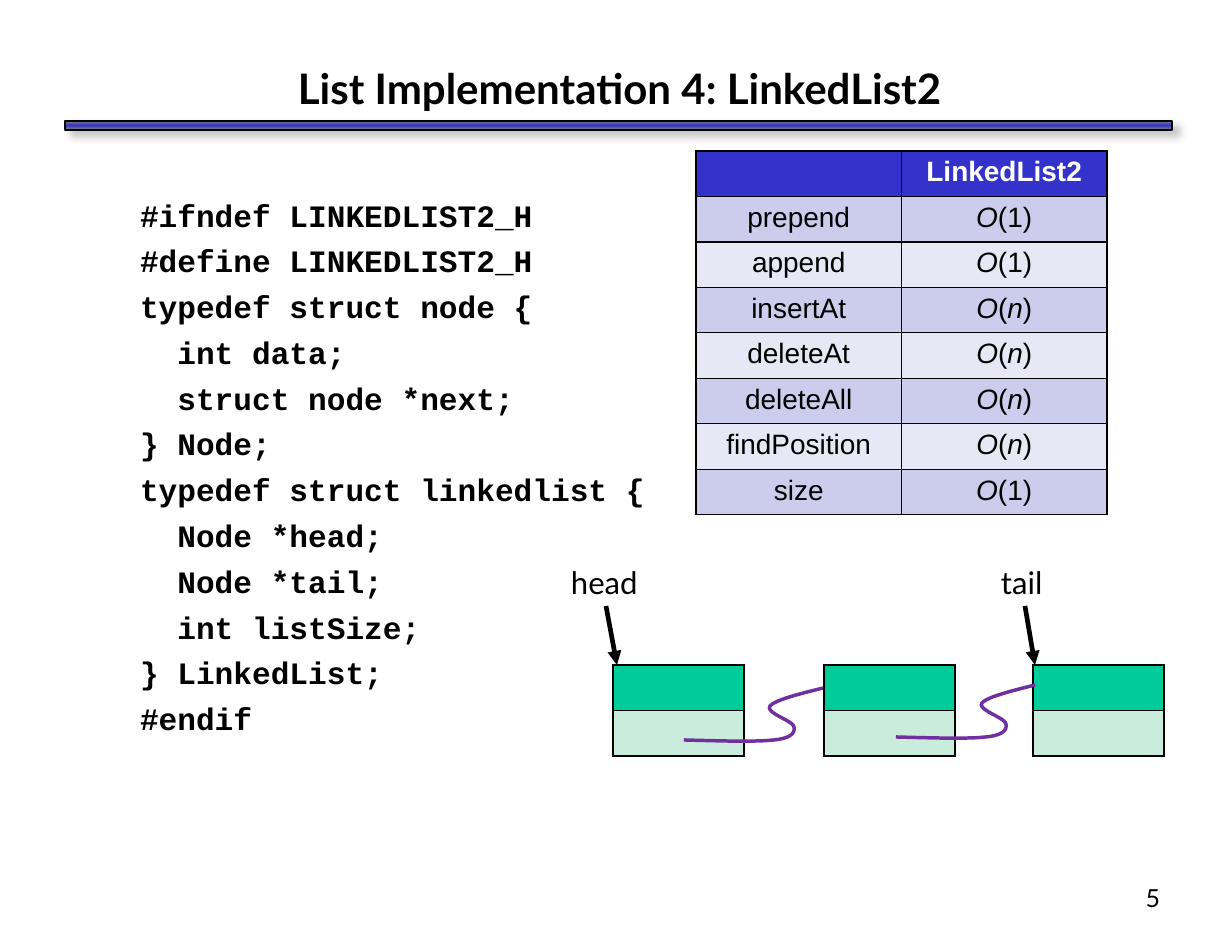
"""Build the LinkedList2 slide: code, cost table and linked node diagram."""
from lxml.etree import SubElement
from pptx import Presentation
from pptx.dml.color import RGBColor
from pptx.enum.shapes import MSO_CONNECTOR, MSO_SHAPE
from pptx.enum.text import MSO_ANCHOR, MSO_AUTO_SIZE, PP_ALIGN
from pptx.oxml import parse_xml
from pptx.oxml.ns import nsdecls, qn
from pptx.util import Pt

TITLE = "List Implementation 4: LinkedList2"
CODE = """#ifndef LINKEDLIST2_H
#define LINKEDLIST2_H
typedef struct node {
  int data;
  struct node *next;
} Node;
typedef struct linkedlist {
  Node *head;
  Node *tail;
  int listSize;
} LinkedList;
#endif""".split("\n")
COSTS = [("prepend", "1"), ("append", "1"), ("insertAt", "n"), ("deleteAt", "n"),
         ("deleteAll", "n"), ("findPosition", "n"), ("size", "1")]
NODE_LEFTS = [613, 824, 1033]
POINTERS = [("head", (560, 557, 91, 49), (606, 606), (617, 665)),
            ("tail", (990, 557, 69, 49), (1025, 606), (1035, 665))]
LINK_STARTS = [(684, 740), (896, 737)]
LINK_CURVES = [((36, 1), (72, 2), (90, 0)), ((109, -2), (111, -8), (110, -13)),
               ((110, -19), (81, -27), (86, -34)), ((91, -40), (115, -46), (139, -52))]
CURVE_STEPS = 12
ROW_H, COST_W, NODE_W = 45.5, 205.5, 131

BLACK = RGBColor(0x00, 0x00, 0x00)
WHITE = RGBColor(0xFF, 0xFF, 0xFF)
BLUE = RGBColor(0x33, 0x33, 0xCC)
BANDS = [RGBColor(0xCC, 0xCC, 0xEC), RGBColor(0xE7, 0xE7, 0xF6)]
NODE_FILLS = [RGBColor(0x00, 0xCC, 0x99), RGBColor(0xCA, 0xEC, 0xDD)]
PURPLE = RGBColor(0x70, 0x30, 0xA0)


def px(value):
    return round(value * 914400 / 112)


def place(sp, left, top, width, height):
    sp.left, sp.top, sp.width, sp.height = map(px, (left, top, width, height))


def style(r, size, font, color=BLACK, bold=False, italic=False):
    f = r.font
    f.size, f.name, f.bold, f.italic = Pt(size), font, bold, italic
    f.color.rgb = color


def inset(tf, x, top, bottom):
    tf.margin_left = tf.margin_right = px(x)
    tf.margin_top, tf.margin_bottom = px(top), px(bottom)
    tf.auto_size = MSO_AUTO_SIZE.NONE


def add_label(text, box, size, align=PP_ALIGN.LEFT):
    sp = s.shapes.add_textbox(*map(px, box))
    tf = sp.text_frame
    inset(tf, 11, 6, 6)
    tf.word_wrap = True
    tf.text = text
    tf.paragraphs[0].alignment = align
    style(tf.paragraphs[0].runs[0], size, "Lato")


def add_grid(left, top, col_w, cols, fills):
    shape = s.shapes.add_table(len(fills), cols, px(left), px(top),
                               px(col_w * cols), px(ROW_H * len(fills)))
    table = shape.table
    for row, fill in zip(table.rows, fills):
        row.height = px(ROW_H)
        for cell in row.cells:
            tc_pr = cell._tc.get_or_add_tcPr()
            for side in ("lnL", "lnR", "lnT", "lnB"):
                tc_pr.append(parse_xml(
                    f'<a:{side} {nsdecls("a")} w="12700"><a:solidFill>'
                    f'<a:srgbClr val="{BLACK}"/></a:solidFill></a:{side}>'))
            cell.fill.solid()
            cell.fill.fore_color.rgb = fill
    return table


def add_pointer(start, end):
    line = s.shapes.add_connector(MSO_CONNECTOR.STRAIGHT, *map(px, start + end))
    line.line.color.rgb, line.line.width = BLACK, Pt(3)
    SubElement(line.line._get_or_add_ln(), qn("a:tailEnd"), type="triangle")
    SubElement(line._element.spPr, qn("a:effectLst"))


def add_link(x0, y0):
    points, a = [], (0, 0)
    for b, c, d in LINK_CURVES:
        for step in range(1, CURVE_STEPS + 1):
            t = step / CURVE_STEPS
            u = 1 - t
            x, y = (u**3 * a[i] + 3 * u * u * t * b[i] + 3 * u * t * t * c[i] + t**3 * d[i]
                    for i in (0, 1))
            points.append((px(x0 + x), px(y0 + y)))
        a = d
    builder = s.shapes.build_freeform(px(x0), px(y0))
    builder.add_line_segments(points, close=False)
    link = builder.convert_to_shape()
    link.fill.background()
    link.line.color.rgb, link.line.width = PURPLE, Pt(2.25)
    link.shadow.inherit = False


prs = Presentation()
prs.slide_width, prs.slide_height = px(1232), px(952)
s = prs.slides.add_slide(prs.slide_layouts[1])
title, body = s.placeholders

bar = s.shapes.add_shape(MSO_SHAPE.RECTANGLE, px(65), px(121), px(1107), px(9))
bar.line.color.rgb, bar.line.width = BLACK, Pt(1)
stops = "".join(f'<a:gs pos="{pos}"><a:srgbClr val="{color}"/></a:gs>'
                for pos, color in ((0, "808080"), (50000, BLUE), (100000, "808080")))
bar._element.spPr.insert(2, parse_xml(
    f'<a:gradFill {nsdecls("a")}><a:gsLst>{stops}</a:gsLst><a:lin ang="5400000"/></a:gradFill>'))
bar._element.spPr.append(parse_xml(
    f'<a:effectLst {nsdecls("a")}><a:outerShdw blurRad="63500" dist="63500" dir="2220000">'
    '<a:srgbClr val="B2B2B2"><a:alpha val="75000"/></a:srgbClr></a:outerShdw></a:effectLst>'))

place(title, 65, 56, 1109, 64)
tf = title.text_frame
inset(tf, 12, 7, 7)
tf.vertical_anchor = MSO_ANCHOR.MIDDLE
tf.text = TITLE
tf.paragraphs[0].alignment = PP_ALIGN.CENTER
style(tf.paragraphs[0].runs[0], 27, "Lato", bold=True)

place(body, 65, 140, 1105, 728)
tf = body.text_frame
inset(tf, 12, 56, 7)
tf.text = "\n".join(CODE)
for p in tf.paragraphs:
    p.space_before, p.space_after = Pt(0), Pt(5.4)
    p_pr = p._p.get_or_add_pPr()
    p_pr.set("marL", str(px(63)))
    p_pr.set("indent", "0")
    SubElement(p_pr, qn("a:buNone"))
    style(p.runs[0], 20, "Courier New", bold=True)

for left in NODE_LEFTS:
    add_grid(left, 665, NODE_W, 1, NODE_FILLS)
for text, box, start, end in POINTERS:
    add_pointer(start, end)
    add_label(text, box, 20)
for start in LINK_STARTS:
    add_link(*start)

costs = add_grid(696, 151, COST_W, 2, [BLUE] + [BANDS[i % 2] for i in range(len(COSTS))])
rows = [([], ["LinkedList2"])] + [([name], ["O", "(", order, ")"]) for name, order in COSTS]
for i, row in enumerate(rows):
    for j, parts in enumerate(row):
        p = costs.cell(i, j).text_frame.paragraphs[0]
        p.alignment = PP_ALIGN.CENTER
        for part in parts:
            r = p.add_run()
            r.text = part
            style(r, 18, "Arial", BLACK if i else WHITE, not i, part in ("O", "n"))

add_label("5", (915, 877, 256, 64), 16, PP_ALIGN.RIGHT)
prs.save("out.pptx")
